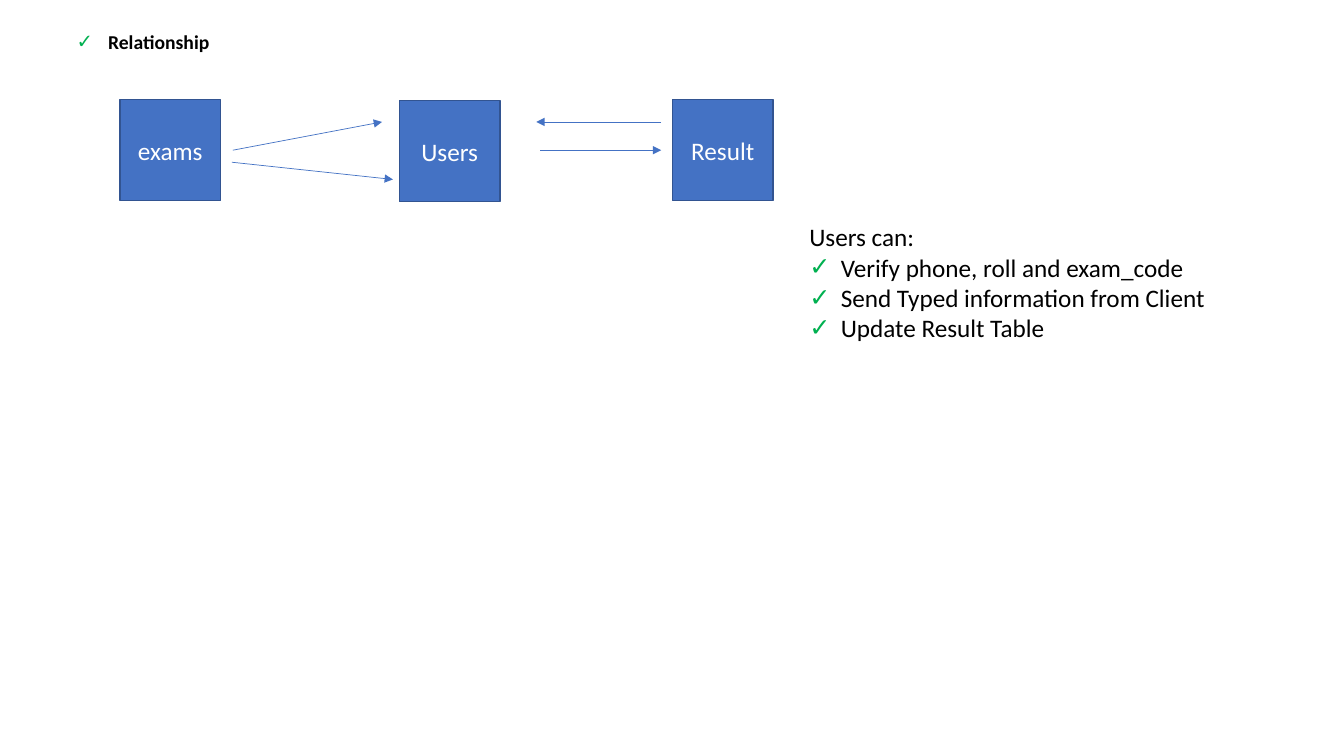
from lxml import etree
from pptx import Presentation
from pptx.dml.color import RGBColor
from pptx.enum import shapes as es, text as et
from pptx.oxml import ns
from pptx.util import Pt

BLUE, EDGE, GREEN = "4472C4", "325491", "00B050"
SIDE = 72


def color(code):
    return RGBColor.from_string(code)


def add(parent, tag, **attrs):
    return etree.SubElement(parent, ns.qn(tag), attrs)


def style(obj, values):
    for name, value in values.items():
        setattr(obj, name, value)


def write(par, words, size, code, bold=False):
    run = par.add_run()
    run.text = words
    style(run.font, {"name": "Calibri", "size": Pt(size), "bold": bold})
    run.font.color.rgb = color(code)


def check(par):
    """Give a paragraph a green check mark and a hanging indent."""
    props = par._p.get_or_add_pPr()
    props.set("marL", str(Pt(22.5)))
    props.set("indent", str(Pt(-22.5)))
    add(add(props, "a:buClr"), "a:srgbClr", val=GREEN)
    add(props, "a:buFont", typeface="Arial")
    add(props, "a:buChar", char="✓")


def fit(frame):
    style(frame, {"word_wrap": False,
                  "auto_size": et.MSO_AUTO_SIZE.SHAPE_TO_FIT_TEXT,
                  "vertical_anchor": et.MSO_ANCHOR.TOP})


def heading(slide, x, y, w, h):
    title = slide.shapes.title
    style(title, {"left": Pt(x), "top": Pt(y),
                  "width": Pt(w), "height": Pt(h)})
    fit(title.text_frame)
    par = title.text_frame.paragraphs[0]
    par.alignment = et.PP_ALIGN.LEFT
    check(par)
    write(par, "Relationship", 14, "000000", True)


def entity(slide, name, x, y):
    box = slide.shapes.add_shape(es.MSO_SHAPE.RECTANGLE,
                                 Pt(x), Pt(y), Pt(SIDE), Pt(SIDE))
    box.shadow.inherit = False
    box.fill.solid()
    box.fill.fore_color.rgb = color(BLUE)
    box.line.color.rgb = color(EDGE)
    box.line.width = Pt(1)
    box.text_frame.vertical_anchor = et.MSO_ANCHOR.MIDDLE
    par = box.text_frame.paragraphs[0]
    par.alignment = et.PP_ALIGN.CENTER
    write(par, name, 18, "FFFFFF")


def arrow(slide, *ends):
    link = slide.shapes.add_connector(es.MSO_CONNECTOR.STRAIGHT,
                                      *[Pt(end) for end in ends])
    link.line.color.rgb = color(BLUE)
    link.line.width = Pt(0.5)
    add(link.line._get_or_add_ln(), "a:tailEnd", type="triangle")
    add(link._element.spPr, "a:effectLst")


def diagram(slide, x, y):
    # Tables
    for name, dx, dy in (("exams", 0, 0), ("Users", 199.5, 0.7),
                         ("Result", 394.6, 0)):
        entity(slide, name, x + dx, y + dy)
    # Links: exams to Users, then both ways between Users and Result
    for x1, y1, x2, y2 in ((80.6, 36, 187.2, 15.8), (80, 44.6, 195, 56.9),
                           (300.2, 36, 386.6, 36), (386.6, 15.8, 297.4, 15.8)):
        arrow(slide, x + x1, y + y1, x + x2, y + y2)


def actions(slide, x, y, w, h):
    box = slide.shapes.add_textbox(Pt(x), Pt(y), Pt(w), Pt(h))
    frame = box.text_frame
    fit(frame)
    write(frame.paragraphs[0], "Users can:", 18, "000000")
    for words in ("Verify phone, roll and exam_code",
                  "Send Typed information from Client",
                  "Update Result Table"):
        par = frame.add_paragraph()
        check(par)
        write(par, words, 18, "000000")


def main():
    deck = Presentation()
    style(deck, {"slide_width": Pt(960), "slide_height": Pt(540)})
    slide = deck.slides.add_slide(deck.slide_layouts[5])
    heading(slide, 47.5, 18, 110.2, 24.5)
    diagram(slide, 85.7, 71.3)
    actions(slide, 571, 154.8, 300.2, 94.3)
    deck.save("out.pptx")


if __name__ == "__main__":
    main()
